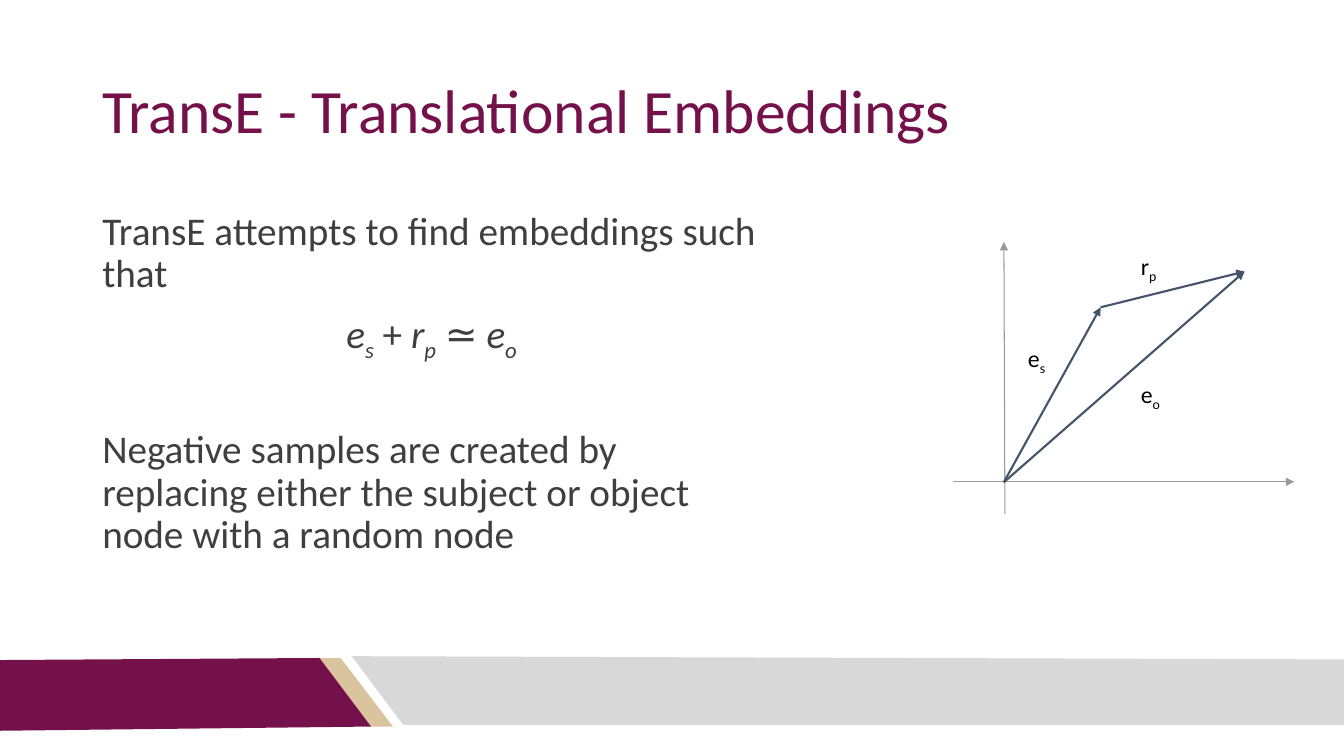
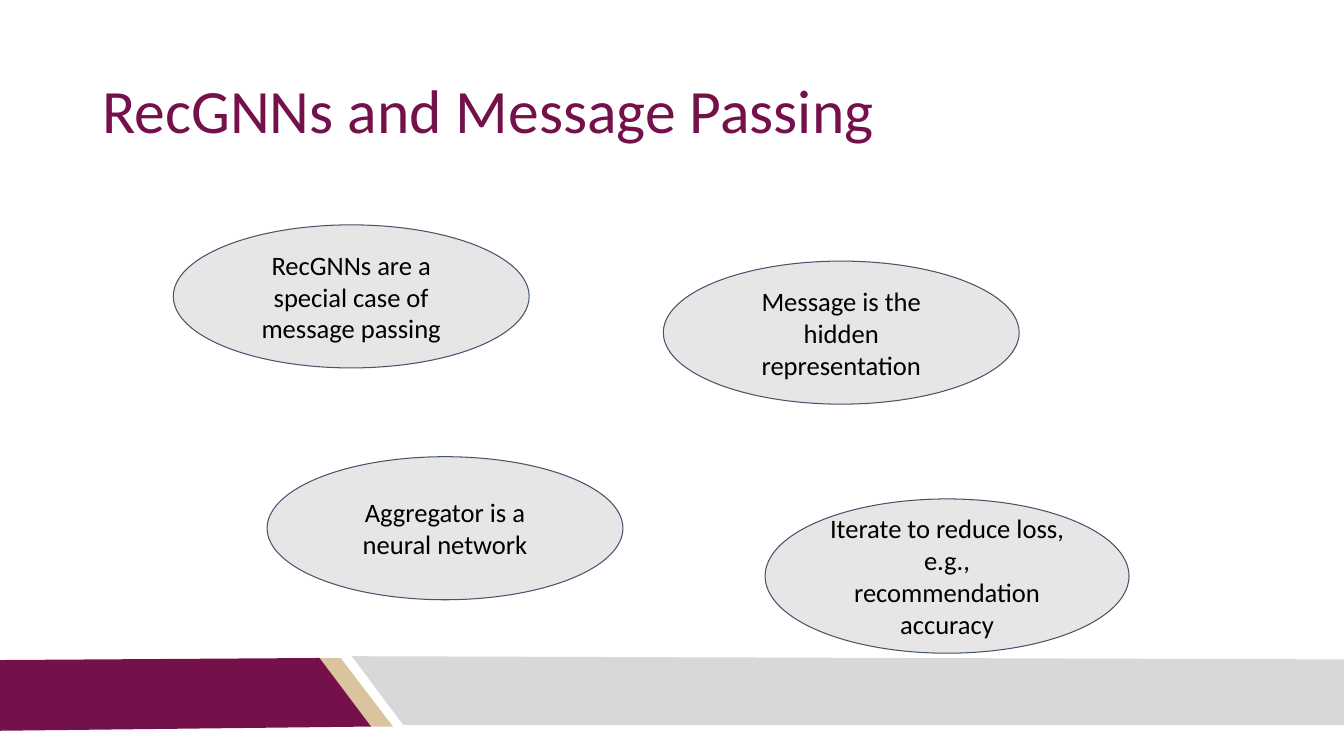
from dataclasses import dataclass

from lxml import etree
from pptx import Presentation
from pptx.dml.color import RGBColor
from pptx.enum import shapes, text
from pptx.oxml import ns
from pptx.util import Pt


@dataclass(frozen=True)
class Theme:
    font: str = "Calibri"
    maroon: RGBColor = RGBColor(0x75, 0x11, 0x4A)
    gold: RGBColor = RGBColor(0xD9, 0xC4, 0x9F)
    silver: RGBColor = RGBColor(0xD8, 0xD8, 0xD8)
    bubble: RGBColor = RGBColor(0xE7, 0xE6, 0xE6)
    slate: RGBColor = RGBColor(0x44, 0x54, 0x6A)
    axis: RGBColor = RGBColor(0x99, 0x99, 0x99)
    body: RGBColor = RGBColor(0x3F, 0x3F, 0x3F)
    black: RGBColor = RGBColor(0, 0, 0)
    title_size: int = 44
    body_size: int = 28
    bubble_size: int = 19
    label_size: int = 17
    inset: float = 7.2


THEME = Theme()
LEFT = text.PP_ALIGN.LEFT
CENTER = text.PP_ALIGN.CENTER

BANDS = [
    (THEME.gold, [(227.5, 470), (243.4, 470), (280.8, 519), (264.2, 519)]),
    (THEME.maroon, [(0, 471.5), (228.2, 470), (265, 519), (0, 522)]),
    (THEME.silver, [(251.3, 468.7), (960, 471), (960, 517.7), (288, 517.7)]),
]

# Each term is a symbol and its subscript; operators have none.
EQUATION = [("e", "s"), (" + ", ""), ("r", "p"), (" ≃ ", ""), ("e", "o")]

ORIGIN = (717, 344.5)
SUBJECT_TIP = (786.2, 219.5)
OBJECT_TIP = (889, 194)
AXES = [((717.8, 367.2), (717.1, 172.8)), ((680.4, 344.2), (924.5, 344.2))]
VECTORS = [(ORIGIN, SUBJECT_TIP), (SUBJECT_TIP, OBJECT_TIP), (ORIGIN, OBJECT_TIP)]
VECTOR_LABELS = [("e", "s", 727.2, 238.3), ("r", "p", 807.8, 172.8),
                 ("e", "o", 807.8, 264.2)]

BUBBLE = (254.2, 102.2)
WIDE_BUBBLE = (260, 110.2)
BUBBLES = [
    ("RecGNNs are a special case of message passing", (123.8, 160.6), BUBBLE),
    ("Message is the hidden representation", (473.8, 186.5), BUBBLE),
    ("Aggregator is a neural network", (190.8, 326.2), BUBBLE),
    ("Iterate to reduce loss, e.g., recommendation accuracy", (546.5, 356.4),
     WIDE_BUBBLE),
]


def place(shape, left, top, width, height):
    shape.left, shape.top = Pt(left), Pt(top)
    shape.width, shape.height = Pt(width), Pt(height)


def prepare_frame(frame, anchor):
    frame.word_wrap = True
    frame.auto_size = text.MSO_AUTO_SIZE.NONE
    frame.vertical_anchor = anchor
    frame.margin_left = frame.margin_right = Pt(THEME.inset)
    frame.margin_top = frame.margin_bottom = Pt(THEME.inset)


def format_span(span, size, color, italic=False):
    span.font.name = THEME.font
    span.font.size = Pt(size)
    span.font.color.rgb = color
    span.font.italic = italic


def format_para(para, size, color, align=LEFT, spacing=1.0):
    para.alignment = align
    para.line_spacing = spacing
    for span in para.runs:
        format_span(span, size, color)


def add_term(para, symbol, subscript, size, color, italic=False):
    """Append a symbol, followed by its subscript if it has one."""
    span = para.add_run()
    span.text = symbol
    format_span(span, size, color, italic)
    if subscript:
        span = para.add_run()
        span.text = subscript
        format_span(span, size, color, italic)
        span._r.get_or_add_rPr().set("baseline", "-25000")


def add_text_box(page, left, top, width, height):
    box = page.shapes.add_textbox(Pt(left), Pt(top), Pt(width), Pt(height))
    prepare_frame(box.text_frame, text.MSO_ANCHOR.TOP)
    return box.text_frame


def add_bands(layout, page):
    """Draw the footer bands on a page and hand them over to its layout."""
    for color, corners in BANDS:
        points = [(Pt(x), Pt(y)) for x, y in corners]
        builder = page.shapes.build_freeform(*points[0])
        builder.add_line_segments(points[1:], close=True)
        band = builder.convert_to_shape()
        band.shadow.inherit = False
        band.fill.solid()
        band.fill.fore_color.rgb = color
        band.line.fill.background()
        layout.shapes.element.append(band.element)


def add_page(deck, layout, title):
    page = deck.slides.add_slide(layout)
    place(page.shapes.title, 66, 28.8, 828, 104.4)
    frame = page.shapes.title.text_frame
    frame.text = title
    prepare_frame(frame, text.MSO_ANCHOR.MIDDLE)
    format_para(frame.paragraphs[0], THEME.title_size, THEME.maroon, spacing=0.9)
    return page


def add_arrow(page, start, end, color, width):
    arrow = page.shapes.add_connector(
        shapes.MSO_CONNECTOR.STRAIGHT, *(Pt(value) for value in start + end))
    arrow.line.color.rgb = color
    arrow.line.width = Pt(width)
    etree.SubElement(arrow.line._get_or_add_ln(), ns.qn("a:tailEnd"), type="triangle")
    etree.SubElement(arrow.element.spPr, ns.qn("a:effectLst"))


def add_bubble(page, words, position, size):
    bubble = page.shapes.add_shape(
        shapes.MSO_SHAPE.OVAL, *(Pt(value) for value in position + size))
    bubble.shadow.inherit = False
    bubble.fill.solid()
    bubble.fill.fore_color.rgb = THEME.bubble
    bubble.line.color.rgb = THEME.slate
    bubble.line.width = Pt(0.75)
    frame = bubble.text_frame
    frame.text = words
    prepare_frame(frame, text.MSO_ANCHOR.MIDDLE)
    format_para(frame.paragraphs[0], THEME.bubble_size, THEME.black, CENTER)


def add_explanation(page):
    frame = add_text_box(page, 66, 144, 484.6, 300)
    intro, equation, sampling = (
        frame.paragraphs[0], frame.add_paragraph(), frame.add_paragraph())
    intro.text = "TransE attempts to find embeddings such that"
    sampling.text = ("Negative samples are created by replacing either the subject "
                     "or object node with a random node")
    for para in (intro, sampling):
        format_para(para, THEME.body_size, THEME.body, spacing=0.9)
    format_para(equation, THEME.body_size, THEME.body, CENTER, 0.9)
    for symbol, subscript in EQUATION:
        add_term(equation, symbol, subscript, THEME.body_size, THEME.body,
                 italic=bool(subscript))
    equation.space_before = Pt(10)
    sampling.space_before = Pt(51)


def add_vector_diagram(page):
    for start, end in AXES:
        add_arrow(page, start, end, THEME.axis, 0.75)
    for start, end in VECTORS:
        add_arrow(page, start, end, THEME.slate, 1.5)
    for symbol, subscript, left, top in VECTOR_LABELS:
        frame = add_text_box(page, left, top, 33.8, 35.3)
        add_term(frame.paragraphs[0], symbol, subscript, THEME.label_size, THEME.black)


def main():
    deck = Presentation()
    deck.slide_width, deck.slide_height = Pt(960), Pt(540)
    layout = deck.slide_layouts.get_by_name("Title Only")

    embeddings = add_page(deck, layout, "TransE - Translational Embeddings")
    add_bands(layout, embeddings)
    add_explanation(embeddings)
    add_vector_diagram(embeddings)

    messages = add_page(deck, layout, "RecGNNs and Message Passing")
    for words, position, size in BUBBLES:
        add_bubble(messages, words, position, size)

    deck.save("out.pptx")


if __name__ == "__main__":
    main()
